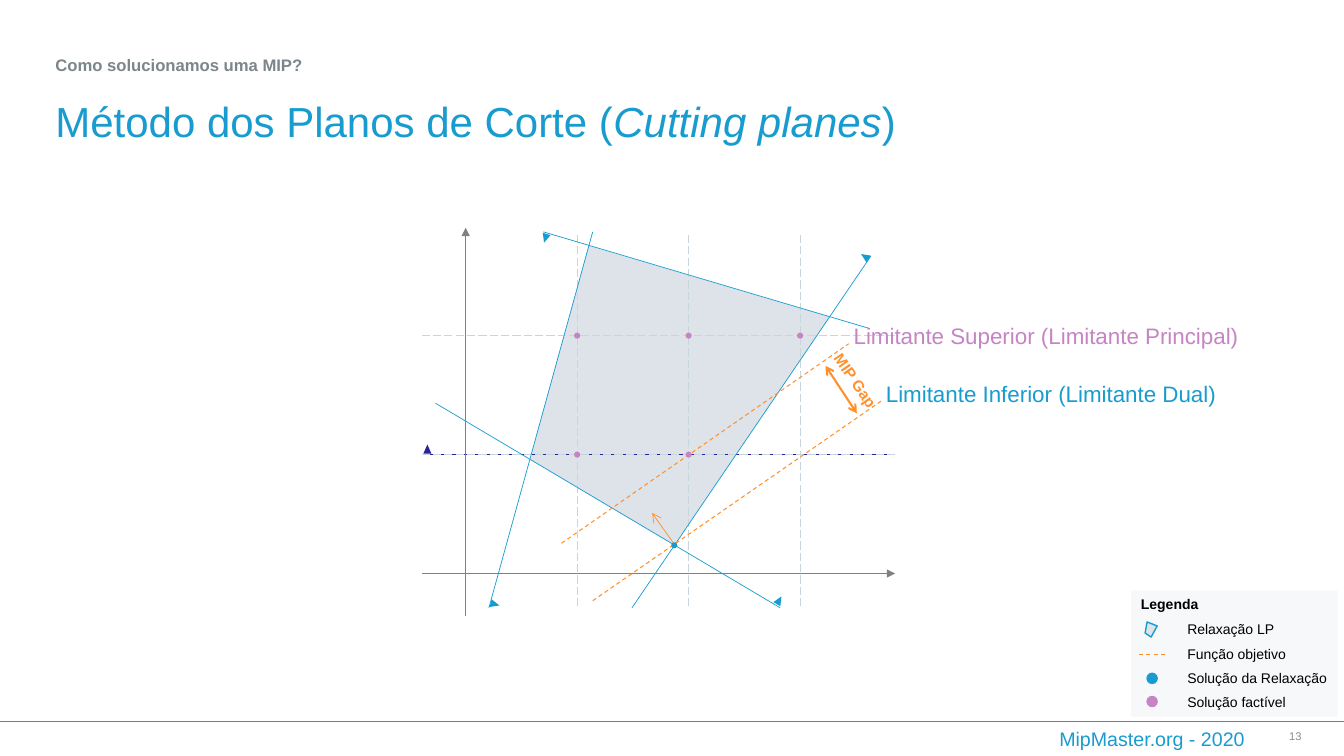
import pptx
import pptx.dml.color
import pptx.enum.dml
import pptx.enum.shapes
import pptx.enum.text
import pptx.oxml
import pptx.oxml.ns
import pptx.util

SHAPE = pptx.enum.shapes.MSO_SHAPE
DASH = pptx.enum.dml.MSO_LINE
ALIGN = pptx.enum.text.PP_ALIGN
ANCHOR = pptx.enum.text.MSO_ANCHOR
FIT = pptx.enum.text.MSO_AUTO_SIZE

# The slide is a grid of square cells, a tenth of an inch each.
CELL = pptx.util.Inches(0.1)
COLS, ROWS = 133.33, 75

BLUE, ORANGE, PINK, NAVY = "189CCF", "FF912D", "C684C4", "2A2296"
PALE, MIST, GREY, SLATE = "DDE3E9", "C5D6DC", "808080", "7B868C"


def cells(*sizes):
    return [round(size * CELL) for size in sizes]


def hue(code):
    return pptx.dml.color.RGBColor.from_string(code)


def add_xml(parent, tag, **attrs):
    child = pptx.oxml.ns.qn("a:" + tag)
    node = parent.makeelement(child, attrs)
    parent.append(node)
    return node


def write(frame, *runs, size=10, color="000000", bold=False, align=ALIGN.LEFT,
          anchor=ANCHOR.TOP, lead=None, fit=FIT.SHAPE_TO_FIT_TEXT):
    """Fill a frame with one paragraph; every second run is italic."""
    frame.word_wrap = True
    frame.auto_size = fit
    frame.vertical_anchor = anchor
    para = frame.paragraphs[0]
    para.alignment = align
    para.space_before = pptx.util.Pt(0)
    if lead:
        para.line_spacing = lead
    for order, words in enumerate(runs):
        run = para.add_run()
        run.text = words
        run.font.name = "Arial"
        run.font.size = pptx.util.Pt(size)
        run.font.bold = bold
        run.font.italic = order % 2 == 1
        run.font.color.rgb = hue(color)


def plot(col, row):
    """Place a point of the chart's integer lattice on the slide grid."""
    return 46.2 + 11.06 * col, 56.9 - 11.8 * row


class Page:
    def __init__(self, deck):
        self.slide = deck.slides.add_slide(deck.slide_layouts[1])
        self.shapes = self.slide.shapes

    def holder(self, index, box, *runs, **style):
        """Move and fill a placeholder, without a bullet."""
        item = self.slide.placeholders[index]
        item.left, item.top, item.width, item.height = cells(*box)
        props = item.text_frame.paragraphs[0]._p.get_or_add_pPr()
        props.set("marL", "0")
        props.set("indent", "0")
        add_xml(props, "buNone")
        write(item.text_frame, *runs, fit=FIT.NONE, **style)

    def text(self, box, words, turn=0, **style):
        item = self.shapes.add_textbox(*cells(*box))
        item.rotation = turn
        write(item.text_frame, words, **style)

    def paint(self, item, fill, edge=None):
        item.shadow.inherit = False
        item.fill.solid()
        item.fill.fore_color.rgb = hue(fill)
        if edge:
            item.line.color.rgb = hue(edge)
            item.line.width = pptx.util.Pt(1)
        else:
            item.line.fill.background()

    def shape(self, kind, box, fill, edge=None, turn=0, alpha=None):
        item = self.shapes.add_shape(kind, *cells(*box))
        item.rotation = turn
        self.paint(item, fill, edge)
        if alpha:
            tint = item.fill._xPr.find(".//" + pptx.oxml.ns.qn("a:srgbClr"))
            add_xml(tint, "alpha", val=str(alpha * 1000))

    def dot(self, x, y, fill, size=0.6, edge=None):
        box = (x - size / 2, y - size / 2, size, size)
        self.shape(SHAPE.OVAL, box, fill, edge)

    def flag(self, x, y, turn, fill=BLUE):
        """Mark the allowed side of a constraint."""
        self.shape(SHAPE.ISOSCELES_TRIANGLE, (x, y, 0.8, 0.9), fill, turn=turn)

    def region(self, points, edge=None):
        first, *rest = [cells(*point) for point in points]
        path = self.shapes.build_freeform(*first, scale=1.0)
        path.add_line_segments(rest, close=True)
        self.paint(path.convert_to_shape(), PALE, edge)

    def line(self, start, end, color, width=0.75, dash=None, head=None, tail=None):
        link = self.shapes.add_connector(
            pptx.enum.shapes.MSO_CONNECTOR.STRAIGHT, *cells(*start, *end))
        link.line.color.rgb = hue(color)
        link.line.width = pptx.util.Pt(width)
        if dash:
            link.line.dash_style = dash
        stroke = link.line._get_or_add_ln()
        for tag, tip in (("headEnd", head), ("tailEnd", tail)):
            if tip:
                add_xml(stroke, tag, type=tip)
        add_xml(link._element.spPr, "effectLst")


def draw_chart(page):
    page.region([(58.4, 24.4), (82.2, 31.4), (73, 45.1), (52.7, 45)])
    page.region([(58.4, 24.4), (82.3, 31.5), (66.9, 54.1), (52.6, 45.6)])

    left, right = 41.9, 88.8
    base = plot(0, 0)
    page.line((right, plot(0, 1)[1]), (left, plot(0, 1)[1]), NAVY, 0.5)
    for col in (1, 2, 3):
        x = plot(col, 0)[0]
        page.line((x, 23.3), (x, 60.3), MIST, dash=DASH.LONG_DASH)
    page.line((right, base[1]), (left, base[1]), GREY, head="triangle")
    page.line((base[0], 22.6), (base[0], 61.1), GREY, head="triangle")
    for row in (1, 2):
        y = plot(0, row)[1]
        page.line((right, y), (left, y), MIST, dash=DASH.LONG_DASH)

    bounds = [
        ((48.5, 60.3), (58.8, 23), (48.7, 59.5), 104.9),
        ((86.3, 32.6), (53.9, 23), (53.7, 23.2), 196.8),
        ((86.4, 25.4), (62.7, 60.3), (85.4, 25), 303.8),
        ((43.2, 40), (77.4, 60.3), (76.9, 59.1), 30.7),
    ]
    for start, end, spot, turn in bounds:
        page.line(start, end, BLUE, 0.5)
        page.flag(*spot, turn)
    page.flag(42, 44.1, 0, NAVY)


def draw_gap(page):
    page.line((55.7, 53.9), (84.2, 34.1), ORANGE, dash=DASH.DASH)
    page.line((58.8, 59.6), (87.4, 39.8), ORANGE, dash=DASH.DASH)
    page.text((80.1, 36.3, 9.5, 2.9), "MIP Gap", turn=55.3, size=11,
              color=ORANGE, bold=True, align=ALIGN.CENTER)
    page.text((83.7, 31.5, 42.4, 3.7), "Limitante Superior (Limitante Principal)",
              size=16, color=PINK)
    page.text((86.9, 37.2, 36.3, 3.7), "Limitante Inferior (Limitante Dual)",
              size=16, color=BLUE)
    page.line((81.9, 36.3), (85, 41), ORANGE, 1.5, head="arrow", tail="arrow")
    page.line((66.9, 54), (64.7, 50.9), ORANGE, 0.5, tail="arrow")
    page.dot(66.9, 54.1, BLUE)
    for col, row in ((2, 1), (1, 1), (2, 2), (1, 2), (3, 2)):
        page.dot(*plot(col, row), PINK)


def draw_key(page):
    page.shape(SHAPE.RECTANGLE, (112.2, 58.6, 20.5, 12.5), PALE, alpha=22)
    page.text((112.2, 58.6, 18.5, 2.7), "Legenda", bold=True)
    labels = ("Relaxação LP", "Função objetivo", "Solução da Relaxação",
              "Solução factível")
    for order, label in enumerate(labels):
        page.text((116.8, 61.1 + 2.4 * order, 16.5, 2.7), label)
    page.region([(113.8, 61.7), (114.8, 62.1), (114.2, 63.2), (113.6, 62.8)], BLUE)
    page.line((113, 64.9), (115.8, 64.9), ORANGE, dash=DASH.DASH)
    for y, color in ((67.3, BLUE), (69.6, PINK)):
        page.dot(114.3, y, color, 1, color)


def main():
    deck = pptx.Presentation()
    deck.slide_width, deck.slide_height = cells(COLS, ROWS)
    page = Page(deck)
    page.holder(0, (4.5, 9, 115, 6.6), "Método dos Planos de Corte (",
                "Cutting planes", ")", size=30, color=BLUE,
                anchor=ANCHOR.MIDDLE, lead=0.9)
    page.holder(1, (4.5, 5.5, 60.3, 2.5), "Como solucionamos uma MIP?",
                size=11.9, color=SLATE, bold=True, lead=0.7)
    draw_chart(page)
    draw_gap(page)
    page.line((0, 71.5), (COLS, 71.5), BLUE, 0.25)
    page.text((104.1, 71.6, 23.9, 3.4), "MipMaster.org - 2020", size=14, color=BLUE)
    page.text((125.2, 71, 4.9, 4), "13", size=8, color="8C8C8C",
              align=ALIGN.RIGHT, anchor=ANCHOR.MIDDLE, fit=FIT.NONE)
    draw_key(page)
    deck.save("out.pptx")


if __name__ == "__main__":
    main()
